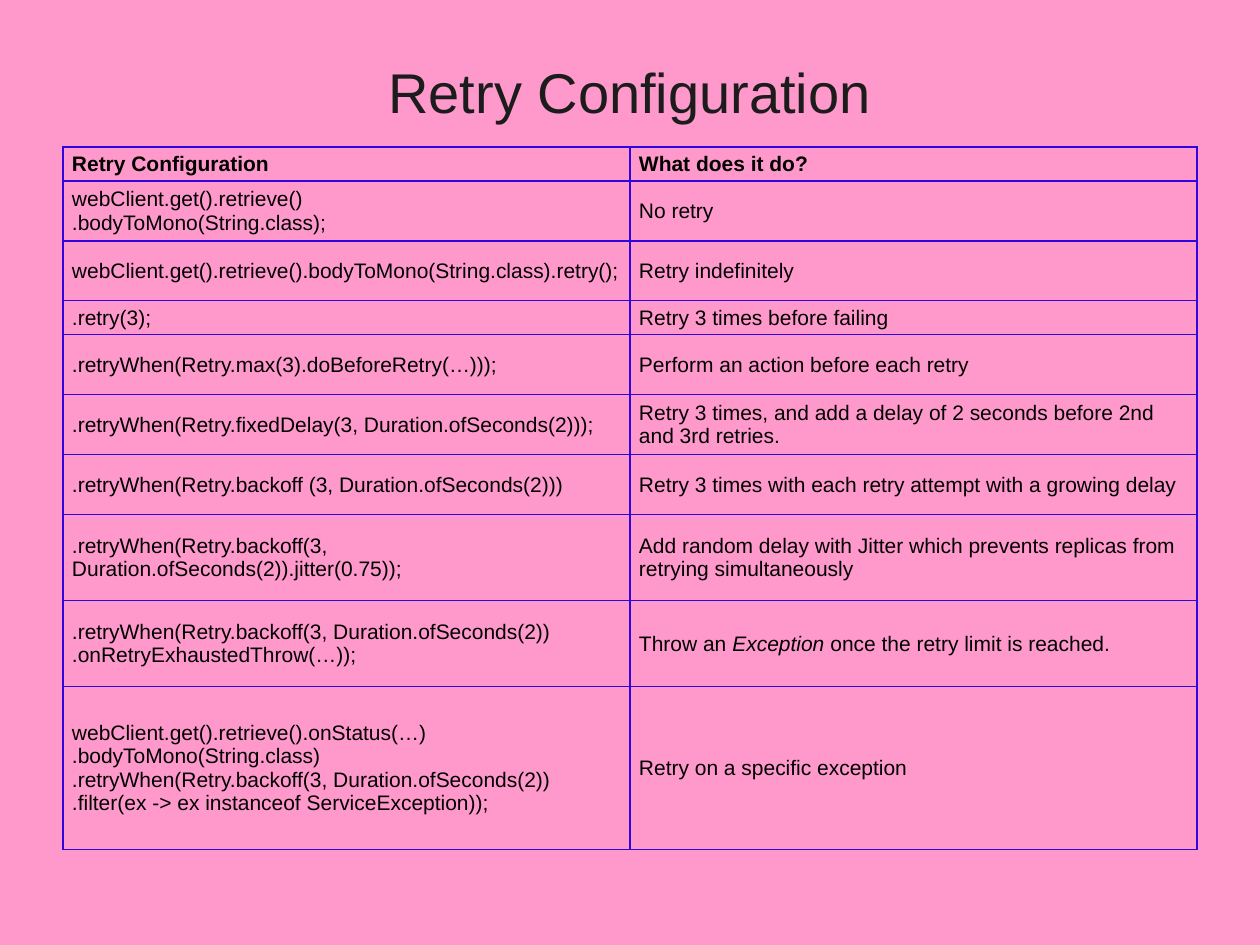
"""Build the Retry Configuration slide with its two-column table."""
from dataclasses import dataclass

from lxml import etree
from pptx import Presentation
from pptx import util as u
from pptx.dml.color import RGBColor
from pptx.enum import text
from pptx.oxml import ns


@dataclass(frozen=True)
class Theme:
    """Colours, font and type sizes of the slide."""
    background: str = "FF99CC"
    title: str = "1C1C1C"
    body: str = "000000"
    border: str = "3006DD"
    font: str = "Arial"
    title_size: int = 32
    body_size: int = 12
    border_width: float = 0.75


THEME = Theme()
PX_PER_INCH = 126
TITLE = "Retry Configuration"
COLUMN_WIDTH = 567
ROW_HEIGHTS = [34, 60, 60, 34, 60, 60, 60, 86, 86, 163]
ROWS = [
    ("Retry Configuration", "What does it do?"),
    ("webClient.get().retrieve()\n.bodyToMono(String.class);", "No retry"),
    ("webClient.get().retrieve().bodyToMono(String.class).retry();", "Retry indefinitely"),
    (".retry(3);", "Retry 3 times before failing"),
    (".retryWhen(Retry.max(3).doBeforeRetry(…)));", "Perform an action before each retry"),
    (".retryWhen(Retry.fixedDelay(3, Duration.ofSeconds(2)));",
     "Retry 3 times, and add a delay of 2 seconds before 2nd and 3rd retries."),
    (".retryWhen(Retry.backoff (3, Duration.ofSeconds(2)))",
     "Retry 3 times with each retry attempt with a growing delay"),
    (".retryWhen(Retry.backoff(3,\nDuration.ofSeconds(2)).jitter(0.75));",
     "Add random delay with Jitter which prevents replicas from retrying simultaneously"),
    (".retryWhen(Retry.backoff(3, Duration.ofSeconds(2))\n.onRetryExhaustedThrow(…));",
     "Throw an *Exception* once the retry limit is reached."),
    ("webClient.get().retrieve().onStatus(…)\n.bodyToMono(String.class)\n"
     ".retryWhen(Retry.backoff(3, Duration.ofSeconds(2))\n"
     ".filter(ex -> ex instanceof ServiceException));",
     "Retry on a specific exception"),
]


def px(length):
    """Turn whole pixels into EMU."""
    return u.Emu(round(length * u.Inches(1) / PX_PER_INCH))


def add_run(paragraph, content, size, color, bold=False, italic=False):
    """Add one formatted run to a paragraph."""
    run = paragraph.add_run()
    run.text = content
    run.font.name = THEME.font
    run.font.size = u.Pt(size)
    run.font.bold = bold
    run.font.italic = italic
    run.font.color.rgb = RGBColor.from_string(color)


def add_title(slide):
    """Add the centred slide title."""
    frame = slide.shapes.add_textbox(px(63), px(63), px(1134), px(57)).text_frame
    frame.word_wrap = True
    frame.vertical_anchor = text.MSO_ANCHOR.MIDDLE
    paragraph = frame.paragraphs[0]
    paragraph.alignment = text.PP_ALIGN.CENTER
    add_run(paragraph, TITLE, THEME.title_size, THEME.title)


def set_borders(cell):
    """Draw the same line on all four sides of a cell."""
    properties = cell._tc.get_or_add_tcPr()
    for index, side in enumerate(("a:lnL", "a:lnR", "a:lnT", "a:lnB")):
        line = etree.Element(ns.qn(side), w=str(u.Pt(THEME.border_width)))
        fill = etree.SubElement(line, ns.qn("a:solidFill"))
        etree.SubElement(fill, ns.qn("a:srgbClr"), val=THEME.border)
        properties.insert(index, line)


def fill_cell(cell, content, bold):
    """Write a cell, with line breaks and *italic* parts."""
    cell.fill.background()
    cell.vertical_anchor = text.MSO_ANCHOR.MIDDLE
    cell.margin_left = cell.margin_right = px(9)
    cell.margin_top = cell.margin_bottom = px(4)
    paragraph = cell.text_frame.paragraphs[0]
    for line_index, line in enumerate(content.split("\n")):
        if line_index:
            paragraph.add_line_break()
        for part_index, part in enumerate(line.split("*")):
            add_run(paragraph, part, THEME.body_size, THEME.body, bold, part_index % 2 == 1)
    set_borders(cell)


def add_retry_table(slide):
    """Add the table of retry calls and their effects."""
    columns = len(ROWS[0])
    table = slide.shapes.add_table(
        len(ROWS), columns, px(63), px(147),
        px(columns * COLUMN_WIDTH), px(sum(ROW_HEIGHTS))).table
    table.horz_banding = False
    table.first_row = False
    for column in table.columns:
        column.width = px(COLUMN_WIDTH)
    for row_index, (height, contents) in enumerate(zip(ROW_HEIGHTS, ROWS)):
        table.rows[row_index].height = px(height)
        for column_index, content in enumerate(contents):
            fill_cell(table.cell(row_index, column_index), content, bold=row_index == 0)


def main():
    """Build and save the presentation."""
    presentation = Presentation()
    presentation.slide_width, presentation.slide_height = px(1260), px(945)
    slide = presentation.slides.add_slide(presentation.slide_layouts[6])
    slide.background.fill.solid()
    slide.background.fill.fore_color.rgb = RGBColor.from_string(THEME.background)
    add_title(slide)
    add_retry_table(slide)
    presentation.save("out.pptx")


if __name__ == "__main__":
    main()
